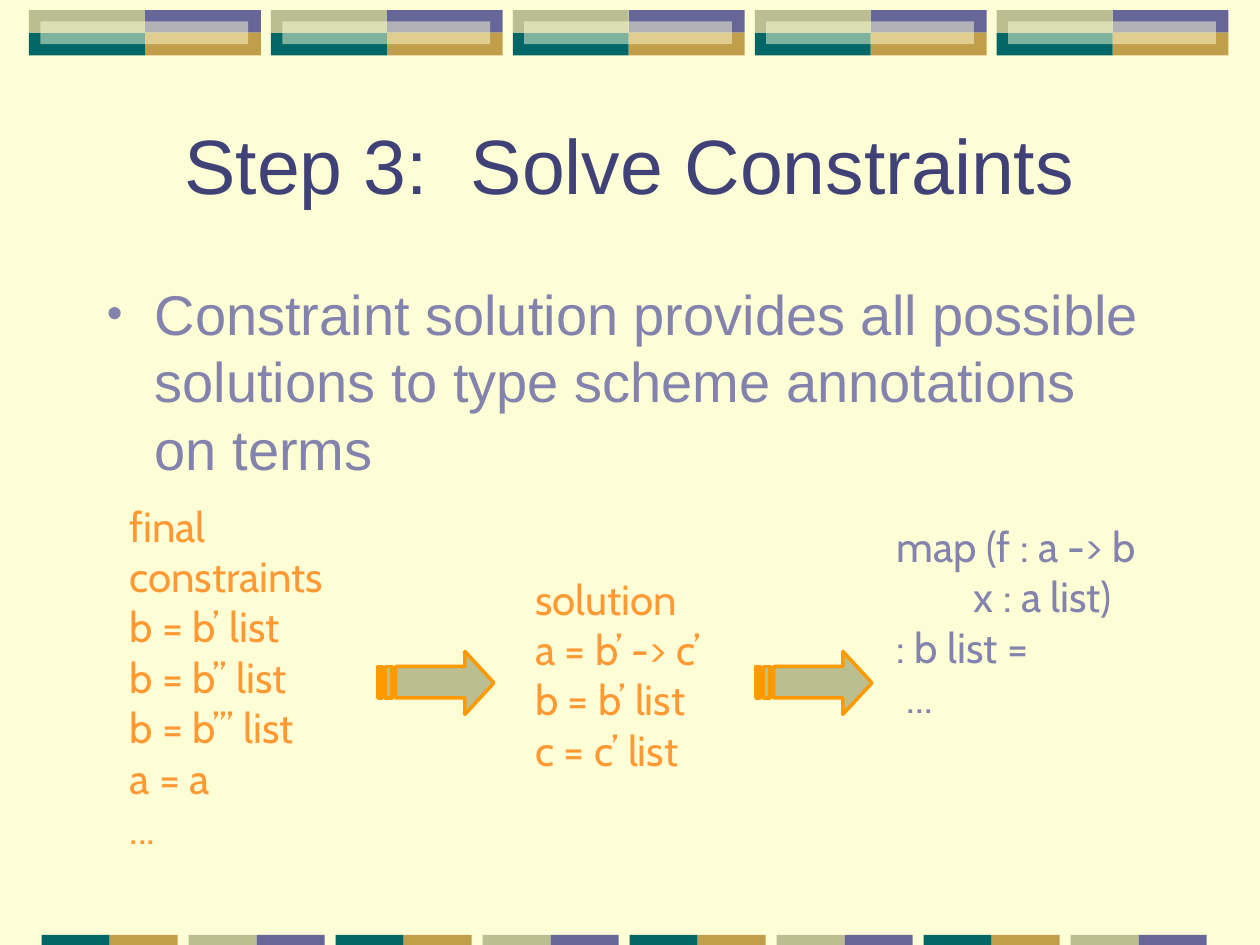
from dataclasses import dataclass

from lxml.etree import SubElement
from pptx import Presentation
from pptx.dml.color import RGBColor
from pptx.enum.shapes import MSO_SHAPE
from pptx.enum.text import MSO_ANCHOR, MSO_AUTO_SIZE, PP_ALIGN
from pptx.oxml.ns import qn
from pptx.util import Inches, Pt


@dataclass(frozen=True)
class Theme:
    cream: str = "FEFED6"
    violet: str = "666699"
    gold: str = "C09E4A"
    teal: str = "006666"
    sage: str = "BABE90"
    navy: str = "404176"
    lilac: str = "8383AD"
    orange: str = "FF9933"
    outline: str = "FF9900"
    heading_font: str = "Arial"
    code_font: str = "Cabin"
    title_size: int = 44
    body_size: int = 32
    code_size: int = 24


THEME = Theme()


def set_fill(s, color):
    s.shadow.inherit = False
    s.fill.solid()
    s.fill.fore_color.rgb = RGBColor.from_string(color)


def add_block(slide, x, y, w, h, color, alpha=None):
    """Add a borderless rectangle; alpha is its opacity in percent."""
    s = slide.shapes.add_shape(MSO_SHAPE.RECTANGLE, Inches(x), Inches(y), Inches(w), Inches(h))
    set_fill(s, color)
    s.line.fill.background()
    if alpha is not None:
        clr = s.fill._xPr.find(qn("a:solidFill"))[0]
        SubElement(clr, qn("a:alpha"), val=str(alpha * 1000))


def add_top_band(slide):
    w, h, top = 0.92, 0.18, 0.08
    for i in range(5):
        x = 0.23 + 1.92 * i
        for col, row, color in ((1, 0, THEME.violet), (1, 1, THEME.gold),
                                (0, 1, THEME.teal), (0, 0, THEME.sage)):
            add_block(slide, x + col * w, top + row * h, w, h, color)
        add_block(slide, x + 0.09, top + h / 2, 1.65, h, THEME.cream, alpha=50)


def add_bottom_band(slide):
    w = 0.54
    pairs = ((THEME.teal, THEME.gold), (THEME.sage, THEME.violet))
    for i in range(8):
        for col, color in enumerate(pairs[i % 2]):
            add_block(slide, 0.33 + i * 7 / 6 + col * w, 7.42, w, 0.08, color)


def add_text(slide, at, lines, font, size, color, **frame):
    """Add a text box; each line is a (text, left margin in inches) pair."""
    tf = slide.shapes.add_textbox(*map(Inches, at)).text_frame
    for name, value in frame.items():
        setattr(tf, name, value)
    for i, (text, margin) in enumerate(lines):
        p = tf.paragraphs[0] if i == 0 else tf.add_paragraph()
        if margin:
            p._p.get_or_add_pPr().set("marL", str(Inches(margin)))
        r = p.add_run()
        r.text = text
        for name, value in {"name": font, "size": Pt(size)}.items():
            setattr(r.font, name, value)
        r.font.color.rgb = RGBColor.from_string(color)
    return tf


def add_title(slide, text):
    tf = add_text(slide, (0, 0.67, 10, 1.25), [(text, 0)], THEME.heading_font,
                  THEME.title_size, THEME.navy,
                  word_wrap=True, vertical_anchor=MSO_ANCHOR.MIDDLE)
    tf.paragraphs[0].alignment = PP_ALIGN.CENTER


def add_bullet(slide, text):
    tf = add_text(slide, (0.75, 2.17, 8.5, 4.5), [(text, 0.38)], THEME.heading_font,
                  THEME.body_size, THEME.lilac, word_wrap=True)
    p = tf.paragraphs[0]
    p.space_before = Pt(8)
    pPr = p._p.get_or_add_pPr()
    pPr.set("indent", str(Inches(-0.38)))
    SubElement(SubElement(pPr, qn("a:buClr")), qn("a:srgbClr"), val=THEME.lilac)
    SubElement(pPr, qn("a:buSzPct"), val="80000")
    SubElement(pPr, qn("a:buFont"), typeface=THEME.heading_font)
    SubElement(pPr, qn("a:buChar"), char="•")


def add_code(slide, at, lines, color):
    add_text(slide, at, lines, THEME.code_font, THEME.code_size, color,
             word_wrap=False, auto_size=MSO_AUTO_SIZE.SHAPE_TO_FIT_TEXT)


def add_striped_arrow(slide, x, y):
    """Add a right arrow with two stripes at its tail."""
    top, bottom = 0.12, 0.37
    head = [(0.14, top), (0.69, top), (0.69, 0), (0.92, 0.25),
            (0.69, 0.5), (0.69, bottom), (0.14, bottom)]
    stripes = [[(a, top), (b, top), (b, bottom), (a, bottom)]
               for a, b in ((0, 0.03), (0.06, 0.11))]
    builder = None
    for outline in (head, *stripes):
        points = [(Inches(x + dx), Inches(y + dy)) for dx, dy in outline]
        if builder is None:
            builder = slide.shapes.build_freeform(*points[0])
        else:
            builder.move_to(*points[0])
        builder.add_line_segments(points[1:], close=True)
    s = builder.convert_to_shape()
    set_fill(s, THEME.sage)
    s.line.color.rgb = RGBColor.from_string(THEME.outline)
    s.line.width = Pt(2)


def main():
    prs = Presentation()
    prs.slide_width, prs.slide_height = Inches(10), Inches(7.5)
    slide = prs.slides.add_slide(prs.slide_layouts[6])
    slide.background.fill.solid()
    slide.background.fill.fore_color.rgb = RGBColor.from_string(THEME.cream)

    add_top_band(slide)
    add_bottom_band(slide)
    add_title(slide, "Step 3:  Solve Constraints")
    constraints = ("final", "constraints", "b = b’ list", "b = b’’ list",
                   "b = b’’’ list", "a = a", "...")
    add_code(slide, (0.93, 3.92, 1.94, 2.9), [(t, 0) for t in constraints], THEME.orange)
    add_bullet(slide, "Constraint solution provides all possible solutions "
                      "to type scheme annotations on terms")
    solution = ("solution", "a = b’ -> c’", "b = b’ list", "c = c’ list")
    add_code(slide, (4.15, 4.5, 1.7, 1.7), [(t, 0) for t in solution], THEME.orange)
    annotated = [("map (f : a -> b", 0), ("x : a list)", 0.61),
                 (": b list =", 0), ("...", 0.08)]
    add_code(slide, (7.02, 4.08, 2.33, 2.1), annotated, THEME.lilac)
    for x in (3, 6):
        add_striped_arrow(slide, x, 5.17)

    prs.save("out.pptx")


if __name__ == "__main__":
    main()
